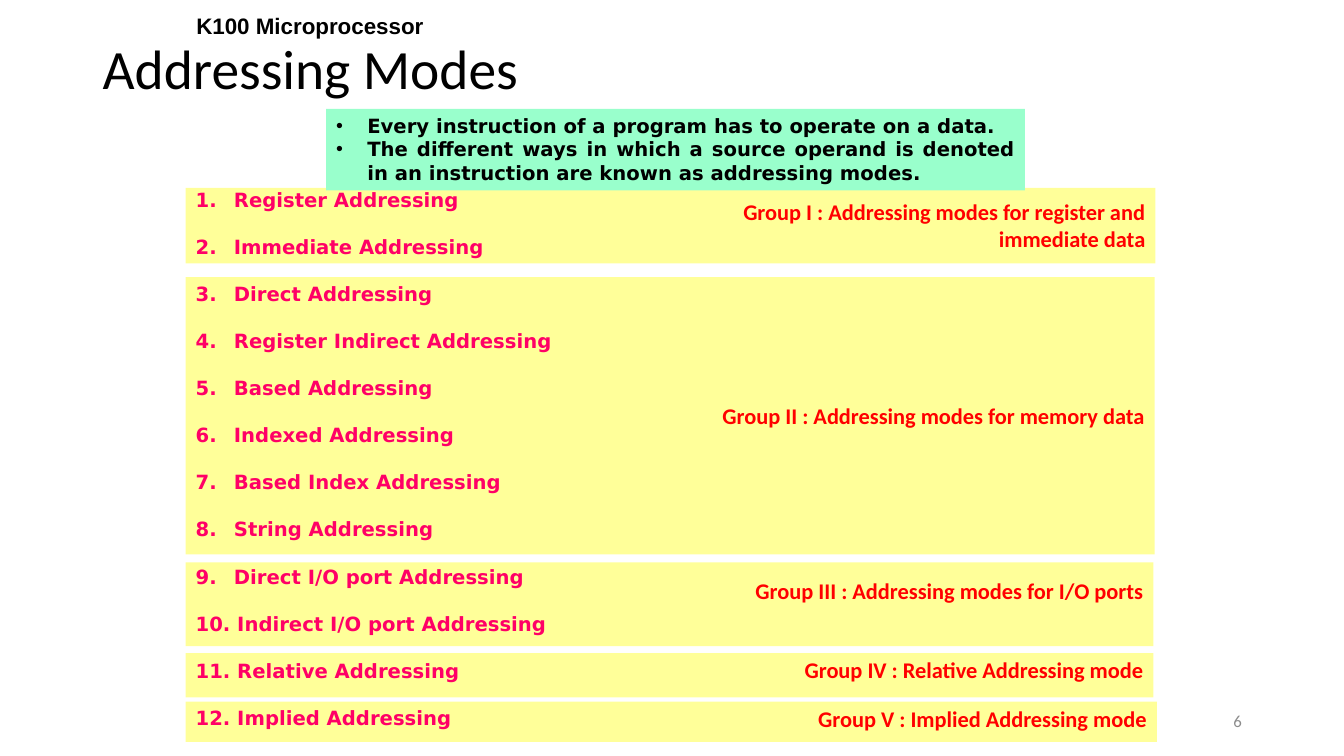
from lxml import etree
from pptx import Presentation
from pptx.dml.color import RGBColor
from pptx.enum.shapes import MSO_SHAPE
from pptx.enum.text import MSO_ANCHOR, PP_ALIGN
from pptx.oxml.ns import qn
from pptx.util import Inches, Pt

RECTANGLE = MSO_SHAPE.RECTANGLE
TOP, MIDDLE = MSO_ANCHOR.TOP, MSO_ANCHOR.MIDDLE
LEFT, CENTER, RIGHT, JUSTIFY = PP_ALIGN.LEFT, PP_ALIGN.CENTER, PP_ALIGN.RIGHT, PP_ALIGN.JUSTIFY

BLACK = RGBColor(0x00, 0x00, 0x00)
GRAY = RGBColor(0x8C, 0x8C, 0x8C)
RED = RGBColor(0xFF, 0x00, 0x00)
PINK = RGBColor(0xFF, 0x00, 0x66)
YELLOW = RGBColor(0xFF, 0xFF, 0x99)
MINT = RGBColor(0x99, 0xFF, 0xCC)

SLIDE_WIDTH, SLIDE_HEIGHT = Inches(13.33), Inches(7.5)
COLUMN, ROW = SLIDE_WIDTH / 100, SLIDE_HEIGHT / 100

DEFINITIONS = [
    "Every instruction of a program has to operate on a data.",
    "The different ways in which a source operand is denoted in an instruction "
    "are known as addressing modes.",
]
NUMBERED_MODES = [
    "Register Addressing",
    "Immediate Addressing",
    "Direct Addressing",
    "Register Indirect Addressing",
    "Based Addressing",
    "Indexed Addressing",
    "Based Index Addressing",
    "String Addressing",
    "Direct I/O port Addressing",
]
TYPED_MODES = [
    "10. Indirect I/O port Addressing",
    "11. Relative Addressing",
    "12. Implied Addressing",
]
BAND_LEFT = 13.82
GROUPS = [
    (24.85, 72.15, 10, 32.85, 0.75, 8.53,
     "Group I : Addressing modes for register and immediate data"),
    (86.4, 72, 5.87, 46.27, -0.27, 4.93, "Group IV : Relative Addressing mode"),
    (92.8, 72.25, 5.33, 46.42, -0.13, 4.93, "Group V : Implied Addressing mode"),
    (74.4, 72, 11.07, 33.3, 1.33, 4.93, "Group III : Addressing modes for I/O ports"),
    (36.67, 72.1, 36.67, 35.7, 15.87, 4.93, "Group II : Addressing modes for memory data"),
]


def place(box):
    left, top, width, height = box
    return round(left * COLUMN), round(top * ROW), round(width * COLUMN), round(height * ROW)


def add_panel(slide, box, color):
    shape = slide.shapes.add_shape(RECTANGLE, *place(box))
    shape.shadow.inherit = False
    shape.fill.solid()
    shape.fill.fore_color.rgb = color
    shape.line.fill.background()
    return shape


def add_marker(paragraph, indent, tag, **attributes):
    properties = paragraph._p.get_or_add_pPr()
    properties.set("marL", str(Inches(indent)))
    properties.set("indent", str(-Inches(indent)))
    if tag == "a:buChar":
        etree.SubElement(properties, qn("a:buFont"), typeface="Arial")
    etree.SubElement(properties, qn(tag), **attributes)


def write_text(frame, lines, *, font="Calibri", size=16, color=BLACK, bold=False,
               align=LEFT, anchor=TOP, wrap=True, spacing=None, gap=0):
    frame.word_wrap = wrap
    frame.vertical_anchor = anchor
    for index, line in enumerate(lines):
        paragraph = frame.add_paragraph() if index else frame.paragraphs[0]
        paragraph.alignment = align
        if spacing:
            paragraph.line_spacing = spacing
        if index and gap:
            paragraph.space_before = Pt(gap)
        run = paragraph.add_run()
        run.text = line
        run.font.name = font
        run.font.size = Pt(size)
        run.font.bold = bold
        run.font.color.rgb = color
    return frame.paragraphs


def add_text(slide, box, lines, **style):
    return write_text(slide.shapes.add_textbox(*place(box)).text_frame, lines, **style)


def add_group(slide, box, label, label_width, label_offset, label_height):
    left, top, width, height = box
    add_panel(slide, box, YELLOW)
    label_box = (left + width - label_width, top + label_offset, label_width, label_height)
    add_text(slide, label_box, [label], color=RED, bold=True, align=RIGHT)


def add_heading(slide, box):
    left, top, width, height = box
    add_text(slide, (left, top + 4.4, width, 8.27), ["Addressing Modes"], size=39.6,
             anchor=MIDDLE, spacing=0.9)
    add_text(slide, (left + 6.15, top, 20.03, 4.93), ["K100 Microprocessor"],
             font="Arial", bold=True, align=CENTER)


def add_definitions(slide, box):
    panel = add_panel(slide, box, MINT)
    paragraphs = write_text(panel.text_frame, DEFINITIONS, font="DejaVu Sans", size=14,
                            bold=True, align=JUSTIFY)
    for paragraph in paragraphs:
        add_marker(paragraph, 0.31, "a:buChar", char="•")


def add_mode_list(slide, box):
    paragraphs = add_text(slide, box, NUMBERED_MODES + TYPED_MODES, font="DejaVu Sans",
                          size=14, color=PINK, bold=True, wrap=False, gap=16.8)
    for paragraph in paragraphs[:len(NUMBERED_MODES)]:
        add_marker(paragraph, 0.38, "a:buAutoNum", type="arabicPeriod")


def main():
    presentation = Presentation()
    presentation.slide_width, presentation.slide_height = SLIDE_WIDTH, SLIDE_HEIGHT
    slide = presentation.slides.add_slide(presentation.slide_layouts[6])
    for top, width, height, label_width, label_offset, label_height, label in GROUPS:
        add_group(slide, (BAND_LEFT, top, width, height), label,
                  label_width, label_offset, label_height)
    add_heading(slide, (6.9, 0.93, 86.25, 12.67))
    add_text(slide, (70.65, 92.67, 22.5, 5.33), ["6"], size=12, color=GRAY,
             align=RIGHT, anchor=MIDDLE)
    add_definitions(slide, (24.27, 14.4, 52, 10.8))
    add_mode_list(slide, (BAND_LEFT, 24.2, 28.5, 73.6))
    presentation.save("out.pptx")


if __name__ == "__main__":
    main()
